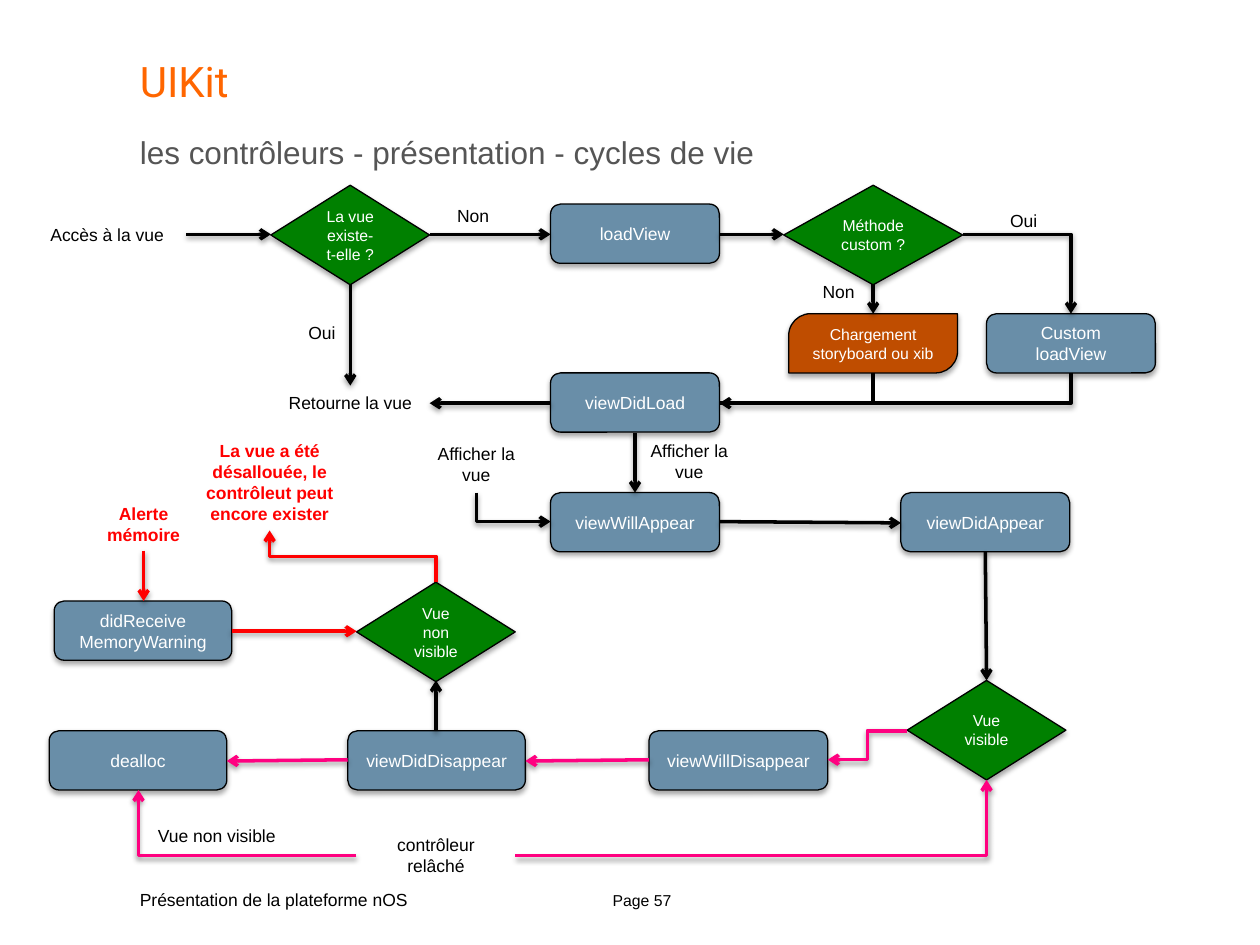
from pptx import Presentation
from pptx.dml.color import RGBColor
from pptx.enum.shapes import MSO_CONNECTOR, MSO_SHAPE
from pptx.enum.text import MSO_ANCHOR, PP_ALIGN
from pptx.oxml import parse_xml
from pptx.oxml.ns import nsdecls, qn
from pptx.util import Inches, Pt

LEFT, MID = PP_ALIGN.LEFT, PP_ALIGN.CENTER
TOP, CORE = MSO_ANCHOR.TOP, MSO_ANCHOR.MIDDLE
LINE, ELBOW = MSO_CONNECTOR.STRAIGHT, MSO_CONNECTOR.ELBOW
ROUND, GEM = MSO_SHAPE.ROUNDED_RECTANGLE, MSO_SHAPE.DIAMOND
LEAF = MSO_SHAPE.ROUND_2_DIAG_RECTANGLE
BLACK, WHITE, RED, PINK = "000000", "FFFFFF", "FF0000", "FF0080"
BLUE, GREEN, RUST = "698EA8", "008000", "BF4D00"
SHADE = (
    f'<a:outerShdw {nsdecls("a")} blurRad="39400" dist="%d" dir="5400000" '
    'rotWithShape="0"><a:srgbClr val="000000"><a:alpha val="%d"/>'
    "</a:srgbClr></a:outerShdw>"
)

deck = Presentation()
deck.slide_width, deck.slide_height = Inches(10), Inches(7.5)
slide = deck.slides.add_slide(deck.slide_layouts[6])
shapes = slide.shapes


def write(shape, text, size=10, color=BLACK, font="Arial", bold=False,
          align=MID, anchor=TOP, pad=(0.1, 0.05), wrap=True):
    frame = shape.text_frame
    frame.text = text
    frame.word_wrap = wrap
    frame.vertical_anchor = anchor
    frame.margin_left = frame.margin_right = Inches(pad[0])
    frame.margin_top = frame.margin_bottom = Inches(pad[1])
    for para in frame.paragraphs:
        para.alignment = align
        for run in para.runs:
            run.font.size = Pt(size)
            run.font.name = font
            run.font.bold = bold
            run.font.color.rgb = RGBColor.from_string(color)


def link(start, end, color=BLACK, bend=None, turn=False, arrow=True):
    (x1, y1), (x2, y2) = start, end
    if turn:
        mx, my = (x1 + x2) / 2, (y1 + y2) / 2
        dx, dy = (y2 - y1) / 2, (x1 - x2) / 2
        x1, y1, x2, y2 = mx - dx, my - dy, mx + dx, my + dy
    wire = shapes.add_connector(
        ELBOW if bend else LINE, Inches(x1), Inches(y1), Inches(x2), Inches(y2))
    wire.line.width = Pt(2)
    wire.line.color.rgb = RGBColor.from_string(color)
    props = wire._element.spPr
    if bend:
        props.find(qn("a:prstGeom")).set("prst", f"bentConnector{bend}")
    if turn:
        props.find(qn("a:xfrm")).set("rot", "5400000")
    glow = parse_xml(f'<a:effectLst {nsdecls("a")}/>')
    if arrow:
        tip = parse_xml(f'<a:tailEnd {nsdecls("a")} type="arrow"/>')
        props.find(qn("a:ln")).append(tip)
        glow.append(parse_xml(SHADE % (20000, 38000)))
    props.append(glow)


nodes = [
    (GEM, 2.15, 1.47, 1.26, "La vue existe-t-elle ?"),
    (GEM, 6.22, 1.47, 1.42, "Méthode custom ?"),
    (GEM, 7.2, 5.4, 1.26, "Vue visible"),
    (GEM, 2.83, 4.62, 1.26, "Vue non visible"),
    (LEAF, 6.26, 2.49, 1.34, "Chargement storyboard ou xib"),
    (ROUND, 4.37, 1.62, 1.34, "loadView"),
    (ROUND, 7.83, 2.49, 1.34, "Custom\nloadView"),
    (ROUND, 4.37, 2.96, 1.34, "viewDidLoad"),
    (ROUND, 4.37, 3.91, 1.34, "viewWillAppear"),
    (ROUND, 7.15, 3.91, 1.34, "viewDidAppear"),
    (ROUND, 5.15, 5.8, 1.42, "viewWillDisappear"),
    (ROUND, 2.76, 5.8, 1.41, "viewDidDisappear"),
    (ROUND, 0.39, 5.8, 1.41, "dealloc"),
    (ROUND, 0.43, 4.77, 1.41, "didReceive MemoryWarning"),
]
looks = {GEM: (GREEN, 0.79, 9), LEAF: (RUST, 0.47, 9), ROUND: (BLUE, 0.47, 10)}
for kind, x, y, wide, text in nodes:
    fill, high, size = looks[kind]
    node = shapes.add_shape(kind, Inches(x), Inches(y), Inches(wide), Inches(high))
    if kind == LEAF:
        node.adjustments[0] = 0.37
    node.fill.solid()
    node.fill.fore_color.rgb = RGBColor.from_string(fill)
    node.line.color.rgb = RGBColor.from_string(BLACK)
    node.line.width = Pt(0.75)
    node.shadow.inherit = False
    glow = node._element.spPr.find(qn("a:effectLst"))
    glow.append(parse_xml(SHADE % (23000, 35000)))
    write(node, text, size=size, color=WHITE, anchor=CORE)

for start, end, color in [
    ((1.48, 1.86), (2.15, 1.86), BLACK),
    ((3.41, 1.86), (4.37, 1.86), BLACK),
    ((5.71, 1.86), (6.22, 1.86), BLACK),
    ((6.93, 2.25), (6.93, 2.49), BLACK),
    ((5.04, 3.44), (5.04, 3.91), BLACK),
    ((5.71, 4.14), (7.15, 4.15), BLACK),
    ((7.82, 4.38), (7.83, 5.4), BLACK),
    ((3.46, 5.8), (3.46, 5.4), BLACK),
    ((4.37, 3.2), (3.41, 3.2), BLACK),
    ((2.78, 2.25), (2.78, 3.06), BLACK),
    ((1.84, 5.01), (2.83, 5.01), RED),
    ((1.14, 4.37), (1.14, 4.77), RED),
    ((5.15, 6.03), (4.17, 6.04), PINK),
    ((2.76, 6.03), (1.8, 6.04), PINK),
]:
    link(start, end, color)

link((7.64, 1.86), (8.5, 2.49), bend=2)
link((6.93, 2.96), (5.71, 3.2), bend=2, turn=True, arrow=False)
link((8.5, 2.96), (5.71, 3.2), bend=2, turn=True)
link((3.78, 3.91), (4.37, 4.14), bend=2, turn=True)
link((3.46, 4.62), (2.14, 4.21), RED, bend=3, turn=True)
link((7.2, 5.8), (6.57, 6.03), PINK, bend=3)
link((4.09, 6.79), (7.83, 6.19), PINK, bend=2)
link((2.83, 6.79), (1.1, 6.27), PINK, bend=2)

head = dict(align=LEFT, pad=(0, 0))
foot = dict(align=LEFT, pad=(0, 0.05), wrap=False)
alert = dict(color=RED, bold=True)
for x, y, wide, high, text, style in [
    (1.11, 0.44, 8.54, 0.54, "UIKit",
     dict(head, size=24, color="FF6600", font="Roboto")),
    (1.11, 1.06, 8.54, 0.33, "les contrôleurs - présentation - cycles de vie",
     dict(head, size=18, color="555555")),
    (0.22, 1.73, 1.26, 0.27, "Accès à la vue", {}),
    (3.44, 1.58, 0.63, 0.27, "Non", {}),
    (6.34, 2.18, 0.63, 0.27, "Non", {}),
    (7.81, 1.62, 0.63, 0.27, "Oui", {}),
    (2.24, 2.51, 0.63, 0.27, "Oui", {}),
    (2.15, 3.06, 1.26, 0.27, "Retourne la vue", {}),
    (4.95, 3.44, 1.04, 0.44, "Afficher la vue", {}),
    (3.26, 3.47, 1.04, 0.44, "Afficher la vue", {}),
    (0.51, 3.94, 1.26, 0.44, "Alerte\nmémoire", alert),
    (1.51, 3.44, 1.26, 0.77,
     "La vue a été désallouée, le contrôleut peut encore exister", alert),
    (2.83, 6.57, 1.26, 0.44, "contrôleur relâché", {}),
    (1.09, 6.5, 1.26, 0.27, "Vue non visible", {}),
    (1.11, 7.01, 2.72, 0.24, "Présentation de la plateforme nOS", foot),
    (4.69, 7.02, 0.81, 0.24, "Page 57", dict(size=9)),
]:
    box = shapes.add_textbox(Inches(x), Inches(y), Inches(wide), Inches(high))
    write(box, text, **style)

deck.save("out.pptx")
